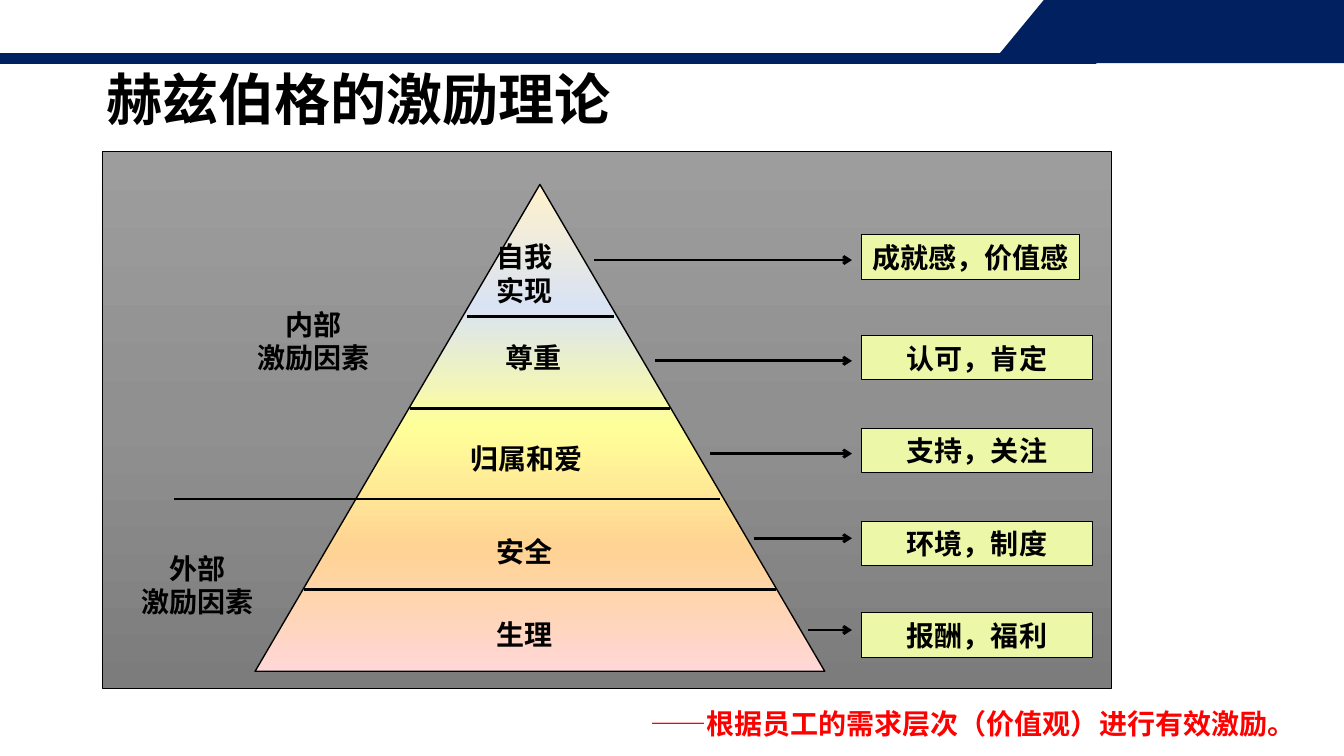
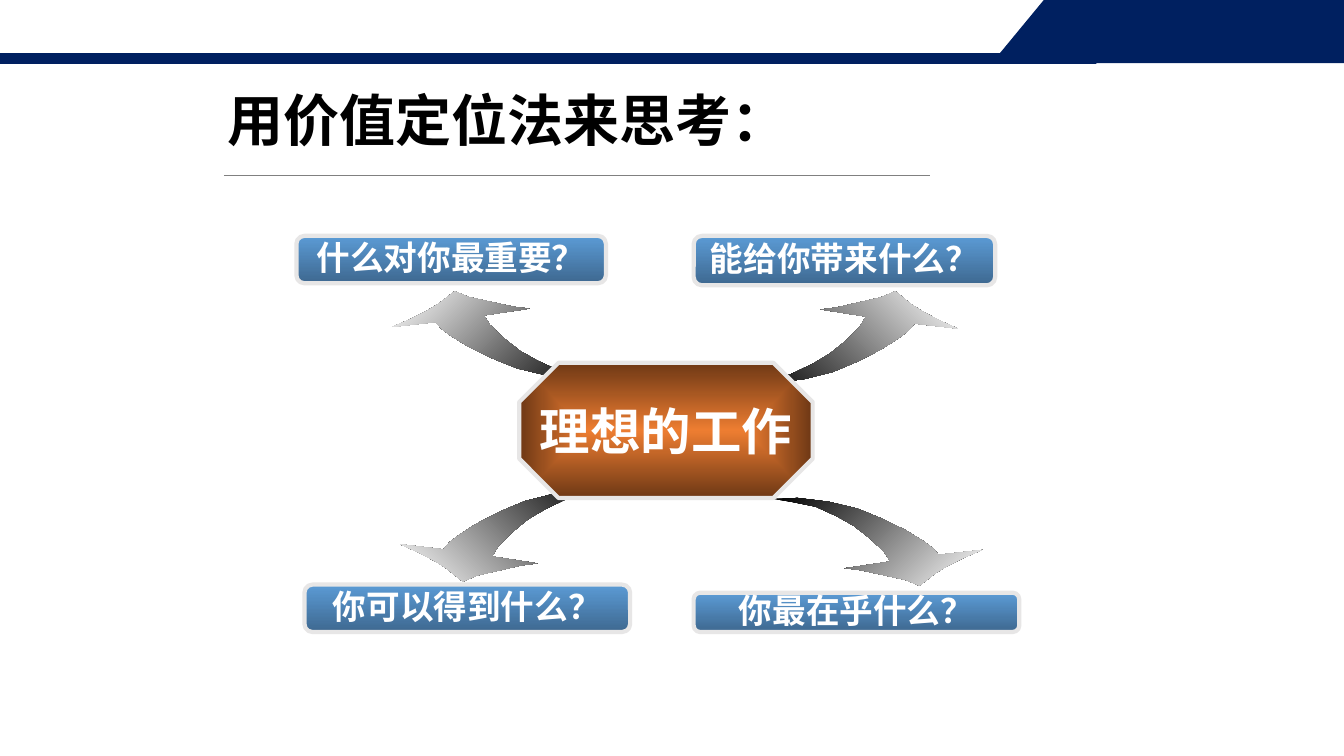
from lxml.etree import SubElement
from pptx import Presentation
from pptx.dml.color import RGBColor
from pptx.enum.lang import MSO_LANGUAGE_ID as Lang
from pptx.enum.shapes import MSO_CONNECTOR as Conn, MSO_SHAPE as Shape
from pptx.enum.text import MSO_ANCHOR as Anchor, MSO_AUTO_SIZE as Auto, PP_ALIGN as Align
from pptx.oxml.ns import qn
from pptx.util import Pt

PX = 9144  # EMU per px, 100 px to the inch
NAVY, BLACK, WHITE, RED = "002060", "000000", "FFFFFF", "FF0000"
LIME, SILVER, GREY = "ECF7A7", "E7E6E6", "808080"
BLUES = [(0, "5B9BD5"), (100, "3E6890")]
RUSTS = [(0, "ED7D31"), (100, "6E3815")]
STEELS = [(0, "9D9D9D"), (50, "909090"), (100, "7C7C7C")]
TIERS = [(0, "FFF2CC"), (25, "DAE3F3"), (50, "FFFF99"), (75, "FFD393"), (100, "FFD7D7")]
FADE = [(0, BLACK), (100, WHITE)]
CJK = "Noto Sans CJK SC"

# Outline of the curved arrow, pointing up and right, in a 207 x 91 box
SWOOSH = [(0, 90), (24, 91), (55, 87), (83, 80), (109, 69), (132, 57), (149, 46),
          (158, 39), (164, 32), (207, 37), (189, 29), (172, 20), (161, 13), (145, 0),
          (131, 6), (109, 11), (87, 16), (71, 18), (116, 25), (110, 35), (96, 49),
          (80, 62), (63, 72), (42, 82), (18, 87)]


def color(code):
    return RGBColor.from_string(code)


def emu(*nums):
    return [round(n * PX) for n in nums]


def blend(shape, stops, angle=None):
    """Gradient along a clockwise angle, or out from the centre without one."""
    shape.fill.gradient()
    grad = shape._element.spPr.find(qn("a:gradFill"))
    for part in list(grad):
        grad.remove(part)
    rows = SubElement(grad, qn("a:gsLst"))
    for pos, code in stops:
        stop = SubElement(rows, qn("a:gs"), pos=str(pos * 1000))
        SubElement(stop, qn("a:srgbClr"), val=code)
    if angle is None:
        way = SubElement(grad, qn("a:path"), path="shape")
        SubElement(way, qn("a:fillToRect"), l="50000", t="50000", r="50000", b="50000")
    else:
        SubElement(grad, qn("a:lin"), ang=str(angle * 60000), scaled="0")


def paint(shape, fill, edge=None, width=1, angle=None):
    shape.shadow.inherit = False
    if isinstance(fill, str):
        shape.fill.solid()
        shape.fill.fore_color.rgb = color(fill)
    else:
        blend(shape, fill, angle)
    if edge:
        shape.line.color.rgb = color(edge)
        shape.line.width = Pt(width)
    else:
        shape.line.fill.background()
    return shape


def block(slide, kind, box, fill, edge, width, angle=None):
    return paint(slide.shapes.add_shape(kind, *emu(*box)), fill, edge, width, angle)


def outline(slide, points, fill, edge=None, angle=None):
    first, *rest = [emu(*p) for p in points]
    pen = slide.shapes.build_freeform(*first, scale=1.0)
    pen.add_line_segments(rest, close=True)
    return paint(pen.convert_to_shape(), fill, edge, angle=angle)


def rule(slide, start, end, tint=BLACK, width=2, head=False):
    line = slide.shapes.add_connector(Conn.STRAIGHT, *emu(*start, *end))
    line.line.color.rgb = color(tint)
    line.line.width = Pt(width)
    if head:
        SubElement(line.line._get_or_add_ln(), qn("a:tailEnd"), type="arrow")
    SubElement(line._element.spPr, qn("a:effectLst"))


def write(shape, lines, size=20, tint=BLACK, font="Arial", align=Align.CENTER,
          wrap=False, space=None, anchor=Anchor.MIDDLE):
    frame = shape.text_frame
    frame.word_wrap = wrap
    frame.vertical_anchor = anchor
    for i, text in enumerate(lines):
        para = frame.paragraphs[0] if i == 0 else frame.add_paragraph()
        para.alignment = align
        if space:
            para.line_spacing = space
        run = para.add_run()
        run.text = text
        run.font.size, run.font.bold, run.font.name = Pt(size), True, font
        run.font.color.rgb = color(tint)
        run.font.language_id = Lang.SIMPLIFIED_CHINESE
        SubElement(run._r.get_or_add_rPr(), qn("a:ea"), typeface=CJK)
    return frame


def label(slide, box, *lines, **style):
    area = slide.shapes.add_textbox(*emu(*box))
    write(area, lines, anchor=Anchor.TOP, **style).auto_size = Auto.SHAPE_TO_FIT_TEXT


def base(deck, title, x, y):
    """New slide with the shared navy band and title."""
    slide = deck.slides.add_slide(deck.slide_layouts[6])
    outline(slide, [(985, 62), (1037, -1), (1333, -1), (1333, 62)], NAVY, NAVY)
    block(slide, Shape.RECTANGLE, (0, 54, 1087, 8), NAVY, NAVY, 1.5)
    area = slide.shapes.add_textbox(*emu(x, y, 702, 125))
    write(area, [title], 40, font=CJK, align=Align.LEFT, wrap=True, space=0.9,
          anchor=Anchor.TOP)
    return slide


def pyramid(slide, x, y, w, h):
    """Grey panel with the five-tier pyramid and its two groups of factors."""
    block(slide, Shape.RECTANGLE, (x, y, w, h), STEELS, BLACK, 0.5, 90)
    block(slide, Shape.ISOSCELES_TRIANGLE, (x + 151, y + 33, 565, 483), TIERS, BLACK, 1, 90)
    # Tier borders; the longest one parts inner from outer factors
    for left, right, top in [(200, 668, 435), (71, 612, 345), (305, 563, 255), (361, 507, 164)]:
        rule(slide, (x + left, y + top), (x + right, y + top))
    # Names of groups and tiers
    for left, top, wide, *lines in [
            (143, 150, 132, "内部", "激励因素"), (28, 392, 132, "外部", "激励因素"),
            (380, 458, 76, "生理"), (380, 375, 76, "安全"), (354, 283, 132, "归属和爱"),
            (389, 183, 76, "尊重"), (380, 83, 76, "自我", "实现")]:
        label(slide, (x + left, y + top, wide, 10 + 33 * len(lines)), *lines)


def needs(slide, x, y):
    """Column of need boxes, each with an arrow from its tier."""
    for top, wide, start, drop, text in [
            (0, 217, 265, 25, "成就感，价值感"), (100, 230, 204, 25, "认可，肯定"),
            (192, 230, 150, 25, "支持，关注"), (284, 230, 106, 17, "环境，制度"),
            (375, 230, 53, 17, "报酬，福利")]:
        card = block(slide, Shape.RECTANGLE, (x, y + top, wide, 44), LIME, BLACK, 0.75)
        write(card, [text])
        mid = y + top + drop
        rule(slide, (x - start, mid), (x - 9, mid), head=True)


def swoosh(slide, x, y, w, h, right, down, angle):
    points = [((px if right else 207 - px) * w / 207 + x,
               (91 - py if down else py) * h / 91 + y) for px, py in SWOOSH]
    outline(slide, points, FADE, angle=angle)


def ideas(slide, x, y):
    """Central octagon with four arrows to the questions around it."""
    for left, top, high, right, down, angle in [
            (449, 55, 91, True, False, 315), (473, 260, 87, True, True, 45),
            (103, 252, 91, False, True, 135), (95, 55, 87, False, False, 225)]:
        swoosh(slide, x + left, y + top, 207, high, right, down, angle)
    core = block(slide, Shape.OCTAGON, (x + 221, y + 126, 291, 134), RUSTS, SILVER, 3)
    core.adjustments[0] = 0.29
    write(core, ["理想的工作"], 36, WHITE, CJK)
    # Questions
    for left, top, wide, high, text in [
            (0, 0, 307, 47, "什么对你最重要？"), (394, 0, 299, 49, "能给你带来什么？"),
            (8, 346, 323, 47, "你可以得到什么？"), (394, 354, 323, 39, "你最在乎什么？")]:
        card = block(slide, Shape.ROUNDED_RECTANGLE, (x + left, y + top, wide, high),
                     BLUES, SILVER, 3, 90)
        frame = write(card, [text], 24, WHITE, CJK, wrap=True, space=0.9)
        frame.margin_left = frame.margin_right = 12 * PX
        frame.margin_top = frame.margin_bottom = 6 * PX


def main():
    deck = Presentation()
    deck.slide_width, deck.slide_height = emu(1333, 750)

    theory = base(deck, "赫兹伯格的激励理论", 96, 67)
    pyramid(theory, 102, 150, 1000, 533)
    needs(theory, 854, 233)
    label(theory, (635, 696, 669, 44), "——根据员工的需求层次（价值观）进行有效激励。",
          tint=RED, align=Align.LEFT)

    values = base(deck, "用价值定位法来思考：", 216, 87)
    rule(values, (222, 174), (922, 174), GREY, 0.5)
    ideas(values, 294, 234)

    deck.save("out.pptx")


if __name__ == "__main__":
    main()
